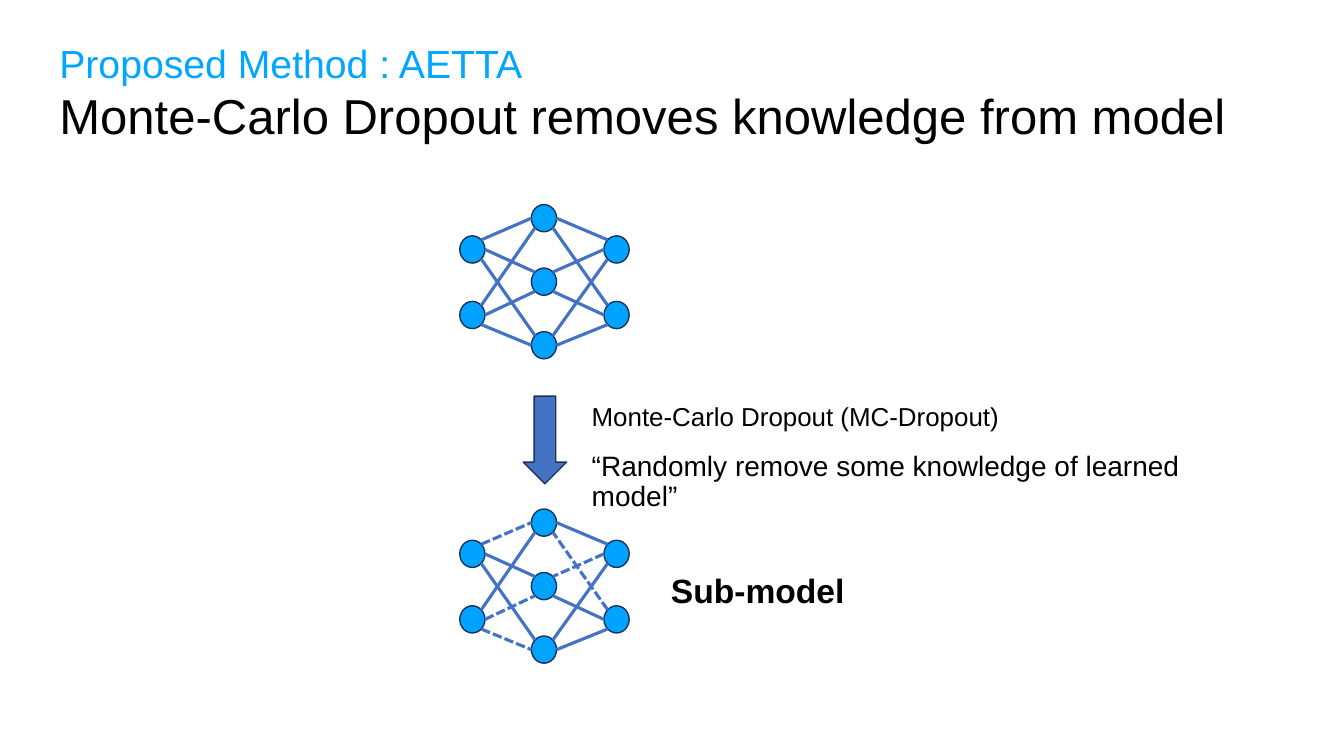
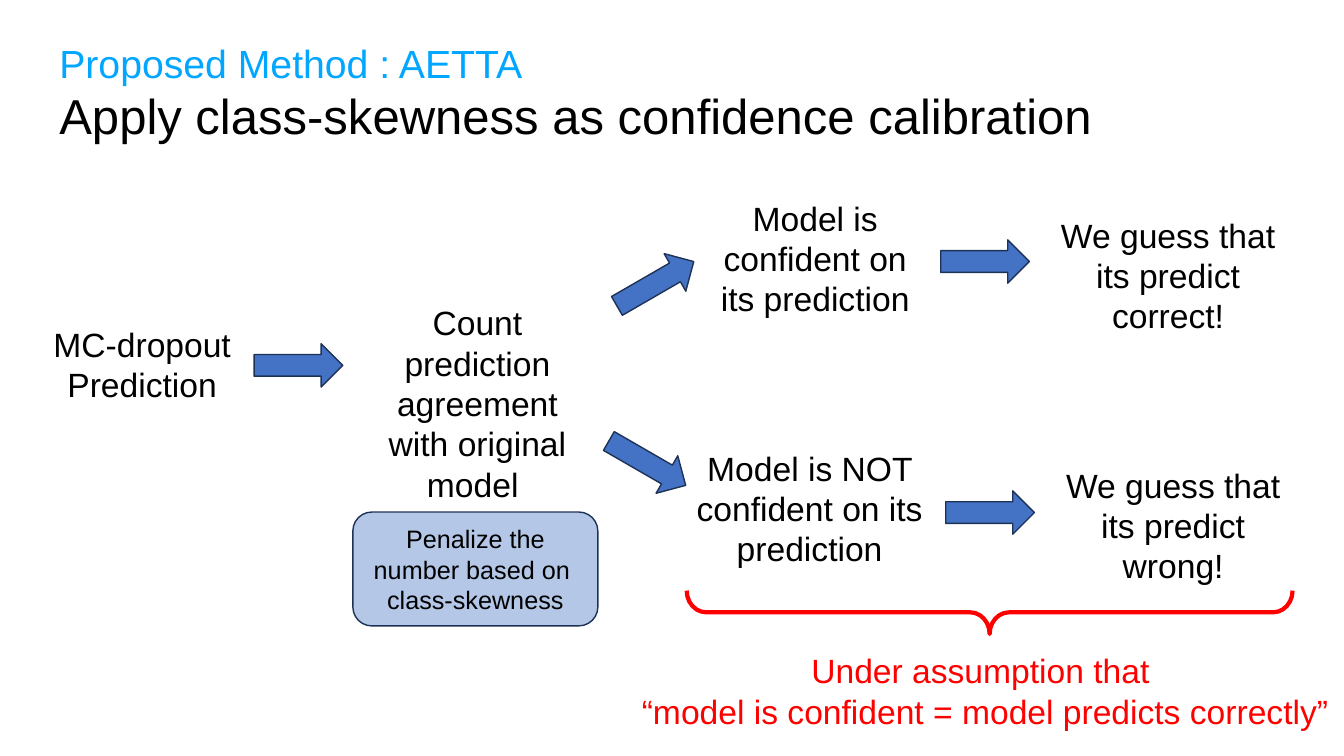
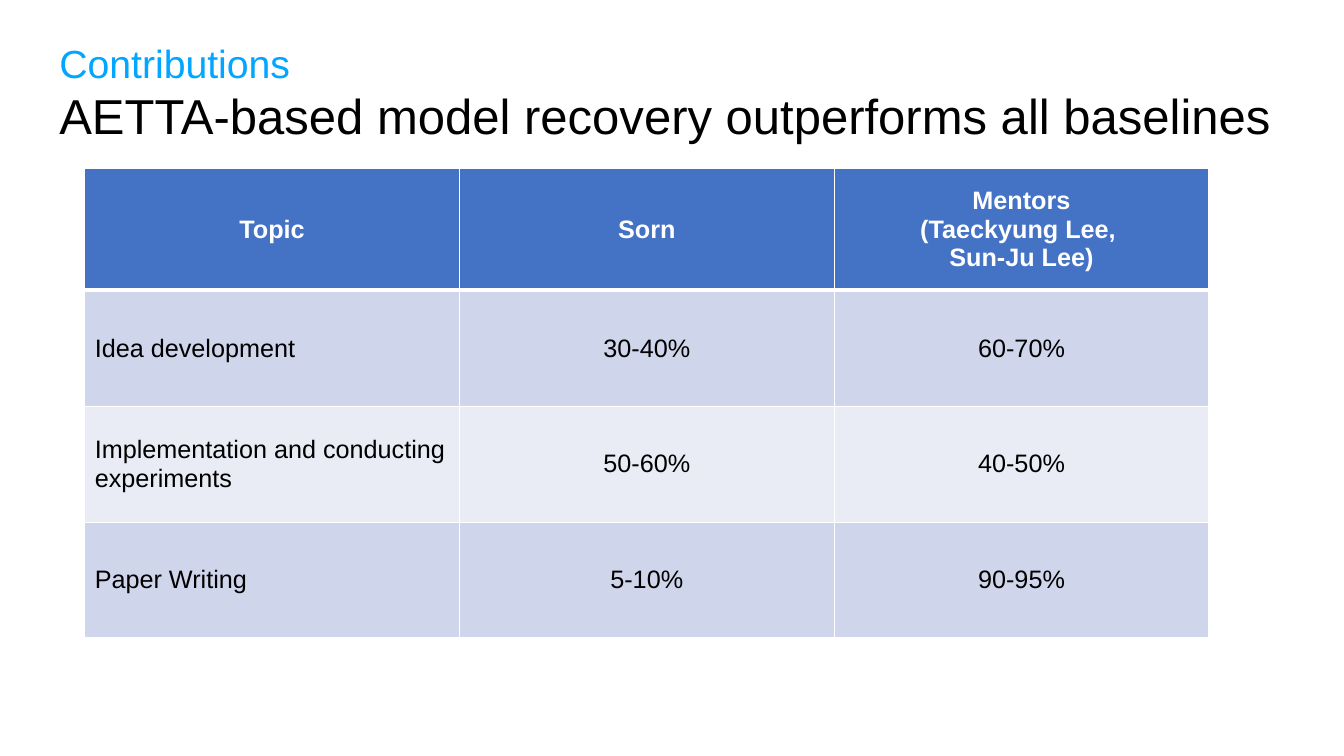
from dataclasses import dataclass
from math import cos, pi, sin

from lxml.etree import SubElement
from pptx import Presentation
from pptx.dml.color import RGBColor
from pptx.enum.dml import MSO_LINE_DASH_STYLE as Dash
from pptx.enum.shapes import MSO_CONNECTOR as Connector, MSO_SHAPE as Shape
from pptx.enum.text import MSO_ANCHOR as Anchor, PP_ALIGN as Align
from pptx.oxml.ns import qn
from pptx.util import Inches, Pt


@dataclass(frozen=True)
class Theme:
    font: str = "Arial"
    black: str = "000000"
    white: str = "FFFFFF"
    red: str = "FF0000"
    section: str = "00A6FF"
    node: str = "00A3FF"
    accent: str = "4472C4"
    outline: str = "1E3256"
    callout: str = "B4C7E7"
    bands: tuple = ("CFD5EA", "E9EBF5")
    section_size: float = 28
    title_size: float = 35
    body_size: float = 24
    quote_size: float = 20
    label_size: float = 18.5
    small_size: float = 18


THEME = Theme()

# Content
METHOD = "Proposed Method : AETTA"
TITLES = [
    (METHOD, "Monte-Carlo Dropout removes knowledge from model"),
    (METHOD, "Apply class-skewness as confidence calibration"),
    ("Contributions", "AETTA-based model recovery outperforms all baselines"),
]

# Networks: top of the middle column, dropped (side, outer node, middle node) edges
NETWORKS = [
    (2.03, set()),
    (5.05, {("left", 0, 0), ("left", 1, 1), ("left", 1, 2),
            ("right", 1, 0), ("right", 0, 1)}),
]

# Flow steps: text, left, top, width, height
STEPS = [
    ("Count prediction agreement\nwith original model ", 3.43, 2.95, 2.61, 2.12),
    ("MC-dropout\nPrediction", -0.24, 3.16, 3.3, 0.91),
    ("Model is NOT confident on its prediction", 6.6, 4.39, 2.86, 1.31),
    ("We guess that its predict wrong!", 10.33, 4.56, 2.61, 1.31),
    ("Model is confident on its prediction", 6.88, 1.91, 2.41, 1.31),
    ("We guess that its predict correct!", 10.28, 2.08, 2.61, 1.31),
]
# Flow arrows: left, top, rotation
FLOW_ARROWS = [(2.52, 3.41, 0), (5.98, 4.38, 30), (9.38, 4.87, 0),
               (6.06, 2.6, 330), (9.33, 2.38, 0)]
PENALTY = "Penalize the number based on \nclass-skewness"
ASSUMPTION = "Under assumption that \n“model is confident = model predicts correctly”"

CONTRIBUTIONS = [
    ("Topic", "Sorn", "Mentors\v(Taeckyung Lee, \nSun-Ju Lee)"),
    ("Idea development", "30-40%", "60-70%"),
    ("Implementation and conducting experiments", "50-60%", "40-50%"),
    ("Paper Writing", "5-10%", "90-95%"),
]


# Shared helpers
def rgb(color):
    return RGBColor.from_string(color)


def style(paragraph, size, color=THEME.black, bold=False, align=Align.LEFT, spacing=None):
    paragraph.alignment = align
    if spacing:
        paragraph.line_spacing = spacing
    for run in paragraph.runs:
        run.font.name = THEME.font
        run.font.size = Pt(size)
        run.font.bold = bold
        run.font.color.rgb = rgb(color)


def write(frame, text, size, anchor=Anchor.TOP, **look):
    frame.word_wrap = True
    frame.vertical_anchor = anchor
    frame.text = text
    for paragraph in frame.paragraphs:
        style(paragraph, size, **look)


def add_text(slide, box, text, size, **look):
    frame = slide.shapes.add_textbox(*map(Inches, box)).text_frame
    write(frame, text, size, **look)
    return frame


def add_shape(shapes, kind, box, fill=None, line=THEME.outline, width=1, rotation=0):
    shape = shapes.add_shape(kind, *map(Inches, box))
    shape.shadow.inherit = False
    shape.rotation = rotation
    if fill:
        shape.fill.solid()
        shape.fill.fore_color.rgb = rgb(fill)
    else:
        shape.fill.background()
    shape.line.color.rgb = rgb(line)
    shape.line.width = Pt(width)
    return shape


def add_slide(deck, section, title):
    slide = deck.slides.add_slide(deck.slide_layouts[6])
    frame = add_text(slide, (0.49, 0.38, 12.75, 1.44), f"{section}\n{title}",
                     THEME.title_size, spacing=0.95)
    heading, headline = frame.paragraphs
    style(heading, THEME.section_size, THEME.section)
    headline.space_before = Pt(1)
    return slide


# Neural network
NODE_W, NODE_H = 0.25, 0.27
OUTER_DY, MIDDLE_DY = (0.31, 0.96), (0, 0.63, 1.26)
COLUMNS = {"left": 4.56, "middle": 5.27, "right": 5.99}
# Rim points count eighths of a turn, counter-clockwise from the top
OUTER_RIM = (7, 6, 5)
MIDDLE_RIM = ((2, 1, 1), (3, 3, 2))


def rim_point(left, top, eighth):
    angle = eighth * pi / 4
    return (Inches(left + NODE_W / 2 * (1 - sin(angle))),
            Inches(top + NODE_H / 2 * (1 - cos(angle))))


def add_edge(shapes, start, end, dropped):
    edge = shapes.add_connector(Connector.STRAIGHT, *start, *end)
    edge.line.color.rgb = rgb(THEME.accent)
    edge.line.width = Pt(2.25)
    if dropped:
        edge.line.dash_style = Dash.SQUARE_DOT
    SubElement(edge._element.spPr, qn("a:effectLst"))


def add_network(slide, top, dropped):
    shapes = slide.shapes.add_group_shape().shapes
    for column, left in COLUMNS.items():
        for dy in MIDDLE_DY if column == "middle" else OUTER_DY:
            add_shape(shapes, Shape.OVAL, (left, top + dy, NODE_W, NODE_H), THEME.node)
    # The right half mirrors the rim points of the left half
    for side, turn in (("left", 1), ("right", -1)):
        for i, outer_dy in enumerate(OUTER_DY):
            for j, middle_dy in enumerate(MIDDLE_DY):
                outer = rim_point(COLUMNS[side], top + outer_dy, turn * OUTER_RIM[j])
                middle = rim_point(COLUMNS["middle"], top + middle_dy,
                                   turn * MIDDLE_RIM[i][j])
                add_edge(shapes, outer, middle, (side, i, j) in dropped)


# Slides
def build_dropout(deck):
    slide = add_slide(deck, *TITLES[0])
    for top, dropped in NETWORKS:
        add_network(slide, top, dropped)
    add_shape(slide.shapes, Shape.DOWN_ARROW, (5.19, 3.93, 0.43, 0.87), THEME.accent)
    add_text(slide, (5.77, 3.98, 4.54, 0.36), "Monte-Carlo Dropout (MC-Dropout)",
             THEME.label_size, anchor=Anchor.MIDDLE, spacing=0.8)
    add_text(slide, (5.77, 4.24, 6.89, 1.09),
             "“Randomly remove some knowledge of learned model”",
             THEME.quote_size, anchor=Anchor.MIDDLE, spacing=0.9)
    add_text(slide, (6.52, 5.6, 1.99, 0.5), "Sub-model", THEME.body_size,
             bold=True, align=Align.CENTER)


def build_calibration(deck):
    slide = add_slide(deck, *TITLES[1])
    for text, *box in STEPS:
        add_text(slide, box, text, THEME.body_size, align=Align.CENTER)
    for left, top, rotation in FLOW_ARROWS:
        add_shape(slide.shapes, Shape.RIGHT_ARROW, (left, top, 0.88, 0.43),
                  THEME.accent, rotation=rotation)
    penalty = add_shape(slide.shapes, Shape.ROUNDED_RECTANGLE,
                        (3.5, 5.08, 2.43, 1.13), THEME.callout)
    write(penalty.text_frame, PENALTY, THEME.small_size,
          anchor=Anchor.MIDDLE, align=Align.CENTER)
    brace = add_shape(slide.shapes, Shape.RIGHT_BRACE, (9.6, 3.07, 0.43, 6.01),
                      line=THEME.red, width=3, rotation=90)
    brace.adjustments[0] = 0.45
    add_text(slide, (5.95, 6.4, 7.64, 0.91), ASSUMPTION, THEME.body_size,
             color=THEME.red, align=Align.CENTER)


def add_borders(cell, **widths):
    properties = cell._tc.get_or_add_tcPr()
    for side in "LRTB":
        border = SubElement(properties, qn(f"a:ln{side}"), w=str(Pt(widths.get(side, 1))))
        fill = SubElement(border, qn("a:solidFill"))
        SubElement(fill, qn("a:srgbClr"), val=THEME.white)


def build_contributions(deck):
    slide = add_slide(deck, *TITLES[2])
    table = slide.shapes.add_table(len(CONTRIBUTIONS), len(CONTRIBUTIONS[0]),
                                   *map(Inches, (0.84, 1.67, 11.15, 4.66))).table
    for r, values in enumerate(CONTRIBUTIONS):
        header = r == 0
        table.rows[r].height = Inches(1.21 if header else 1.15)
        for c, value in enumerate(values):
            cell = table.cell(r, c)
            add_borders(cell, B=3 if header else 1, T=3 if r == 1 else 1)
            cell.fill.solid()
            cell.fill.fore_color.rgb = rgb(THEME.accent if header else THEME.bands[(r - 1) % 2])
            write(cell.text_frame, value, THEME.small_size,
                  color=THEME.white if header else THEME.black, bold=header,
                  align=Align.CENTER if header or c else Align.LEFT)
            cell.vertical_anchor = Anchor.MIDDLE


def main():
    deck = Presentation()
    deck.slide_width, deck.slide_height = Inches(13.33), Inches(7.5)
    build_dropout(deck)
    build_calibration(deck)
    build_contributions(deck)
    deck.save("out.pptx")


if __name__ == "__main__":
    main()
